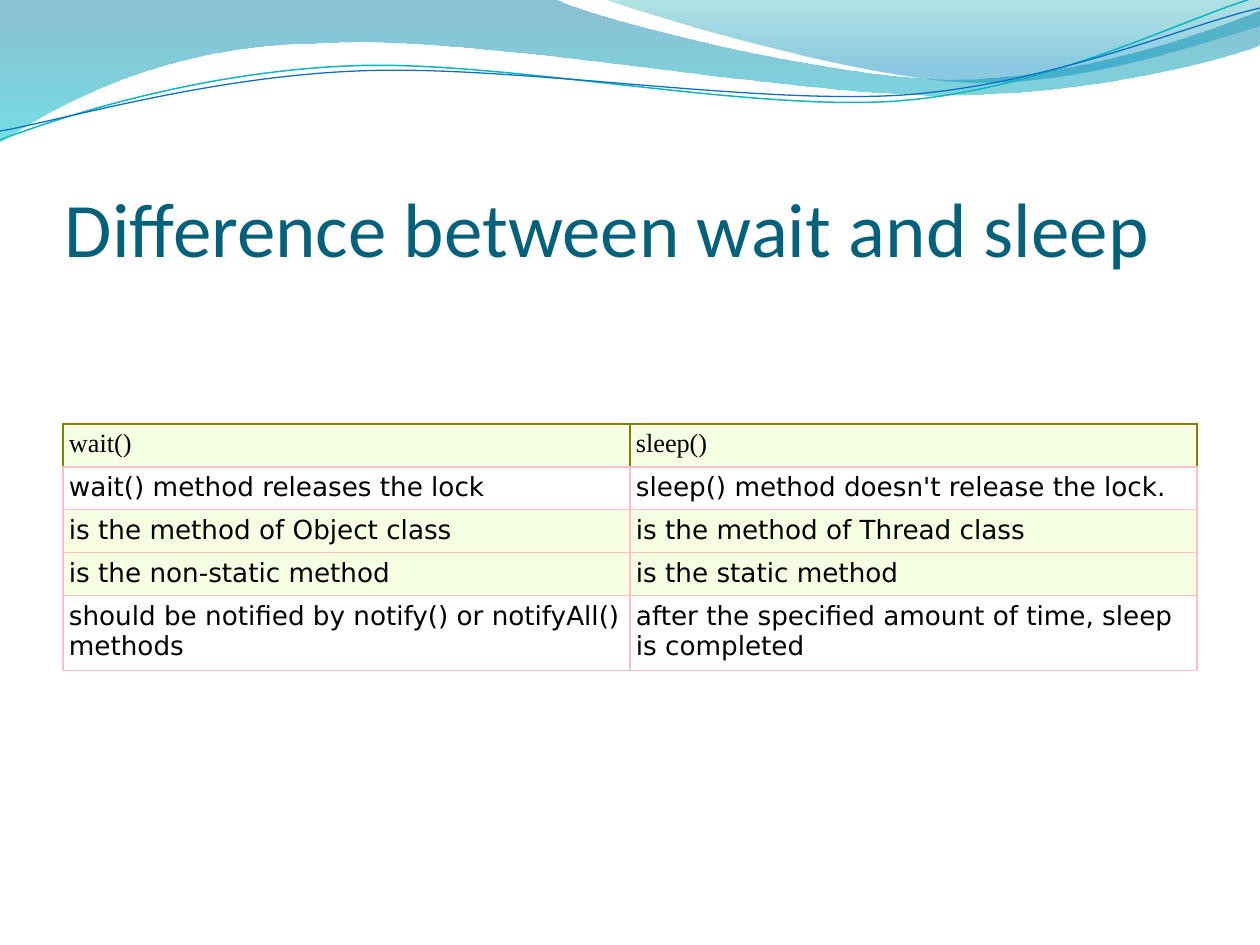
from math import cos, radians, sin
from pptx import Presentation
from pptx.dml.color import RGBColor
from pptx.enum.text import MSO_ANCHOR, PP_ALIGN
from pptx.oxml.ns import qn
from pptx.util import Pt
from lxml import etree

LEFT = PP_ALIGN.LEFT
TOP, BOTTOM = MSO_ANCHOR.TOP, MSO_ANCHOR.BOTTOM

# Content
TITLE = "Difference between wait and sleep"
ROWS = [
    ("wait()", "sleep()"),
    ("wait() method releases the lock", "sleep() method doesn't release the lock."),
    ("is the method of Object class", "is the method of Thread class"),
    ("is the non-static method", "is the static method"),
    ("should be notified by notify() or notifyAll() methods",
     "after the specified amount of time, sleep is completed"),
]
COLORS = {
    "title": "04617B", "text": "000000", "lime": "F6FFE1", "white": "FFFFFF",
    "pink": "FFC0CB", "olive": "808200", "teal": "0AB8BF", "blue": "0F6FC6",
    "sea": "0074A1", "aqua": "00C6CF", "mint": "00A1A9", "sky": "008BBF",
}
FILLS = ["lime", "white", "lime", "lime", "white"]
HEIGHTS = [43, 43, 43, 43, 75]

# Each path is a list of segments: one point for a line, three for a curve
BANDS = [
    ([[(0, -1)], [(554, -1)], [(600, 21), (837, 79), (955, 79)],
      [(1074, 79), (1207, 33), (1260, 11)], [(1261, 45)],
      [(1239, 55), (1096, 96), (940, 95)], [(784, 95), (481, 35), (324, 43)],
      [(163, 44), (58, 105), (-1, 142)]],
     [(0, "sea", 45), (1, "aqua", 55)]),
    ([[(604, -1)], [(641, 14), (859, 78), (969, 82)],
      [(1079, 86), (1211, 40), (1260, 26)], [(1260, 0)]],
     [(0, "mint", 30), (0.8, "sky", 45)]),
]
WAVES = [
    ([[(0, 140)], [(60, 117), (199, 72), (349, 66)],
      [(498, 59), (747, 112), (898, 101)],
      [(1050, 89), (1182, 19), (1257, -3)]], (629, 72), "teal", 0.85),
    ([[(0, 131)], [(59, 121), (207, 77), (357, 71)],
      [(508, 64), (752, 105), (903, 95)],
      [(1053, 84), (1182, 26), (1260, 8)]], (629, 74), "blue", 0.75),
]
TILT = -2.7


def px(n):
    return round(n * 914400 / 126)


def rgb(name):
    return RGBColor.from_string(COLORS[name])


def turn(point, hub, angle):
    a = radians(angle)
    x, y = point[0] - hub[0], point[1] - hub[1]
    return (hub[0] + x * cos(a) - y * sin(a),
            hub[1] + x * sin(a) + y * cos(a))


def draw(path, close):
    path = [[(px(x), px(y)) for x, y in seg] for seg in path]
    form = slide.shapes.build_freeform(*path[0][0])
    form.add_line_segments([seg[-1] for seg in path[1:]], close=close)
    shape = form.convert_to_shape()
    shape.shadow.inherit = False
    # Bend the straight parts that have control points
    for part, seg in zip(list(shape._element.iter(qn("a:lnTo"))), path[1:]):
        if len(seg) == 3:
            part.getparent().replace(part, bend(seg, shape))
    return shape


def bend(seg, shape):
    curve = etree.Element(qn("a:cubicBezTo"))
    for x, y in seg:
        etree.SubElement(curve, qn("a:pt"), x=str(x - shape.left),
                         y=str(y - shape.top))
    return curve


def write(frame, text, font, size, color):
    para = frame.paragraphs[0]
    para.alignment = LEFT
    run = para.add_run()
    run.text = text
    run.font.name, run.font.size = font, Pt(size)
    run.font.color.rgb = rgb(color)


def edge(cell, sides):
    props = cell._tc.get_or_add_tcPr()
    for i, (side, color) in enumerate(sides.items()):
        line = etree.Element(qn("a:ln" + side), w=str(Pt(0.75)))
        fill = etree.SubElement(line, qn("a:solidFill"))
        etree.SubElement(fill, qn("a:srgbClr"), val=COLORS[color])
        props.insert(i, line)


prs = Presentation()
prs.slide_width, prs.slide_height = px(1260), px(945)
slide = prs.slides.add_slide(prs.slide_layouts[5])

# Gradient bands
for path, stops in BANDS:
    band = draw(path, True)
    band.line.fill.background()
    band.fill.gradient()
    band.fill.gradient_angle = 270
    for stop, (pos, color, alpha) in zip(band.fill.gradient_stops, stops):
        stop.position = pos
        stop.color.rgb = rgb(color)
        tint = stop._gs.find(qn("a:srgbClr"))
        etree.SubElement(tint, qn("a:alpha"), val=str(alpha * 1000))

# Thin waves, drawn level and then tilted
for path, hub, color, width in WAVES:
    wave = draw([[turn(p, hub, -TILT) for p in seg] for seg in path], False)
    wave.rotation = TILT
    wave.fill.background()
    wave.line.color.rgb = rgb(color)
    wave.line.width = Pt(width)

# Title
title = slide.shapes.title
title.left, title.top, title.width, title.height = map(px, (65, 115, 1134, 158))
frame = title.text_frame
frame.margin_left = frame.margin_right = frame.margin_bottom = 0
frame.margin_top = px(6)
frame.vertical_anchor = BOTTOM
frame.word_wrap = True
write(frame, TITLE, "Calibri", 44, "title")

# Table
table = slide.shapes.add_table(len(ROWS), 2, px(63), px(424), px(1134),
                               px(sum(HEIGHTS))).table
table.first_row = table.horz_banding = False
for r, (texts, fill, height) in enumerate(zip(ROWS, FILLS, HEIGHTS)):
    table.rows[r].height = px(height)
    head = r == 0
    rim = "olive" if head else "pink"
    for c, text in enumerate(texts):
        cell = table.cell(r, c)
        cell.margin_left = cell.margin_right = px(6)
        cell.margin_top = cell.margin_bottom = px(5)
        cell.vertical_anchor = TOP
        cell.fill.solid()
        cell.fill.fore_color.rgb = rgb(fill)
        edge(cell, {"L": rim, "R": rim, "T": rim, "B": "pink"})
        write(cell.text_frame, text,
              "Times New Roman" if head else "DejaVu Sans", 15, "text")

prs.save("out.pptx")
